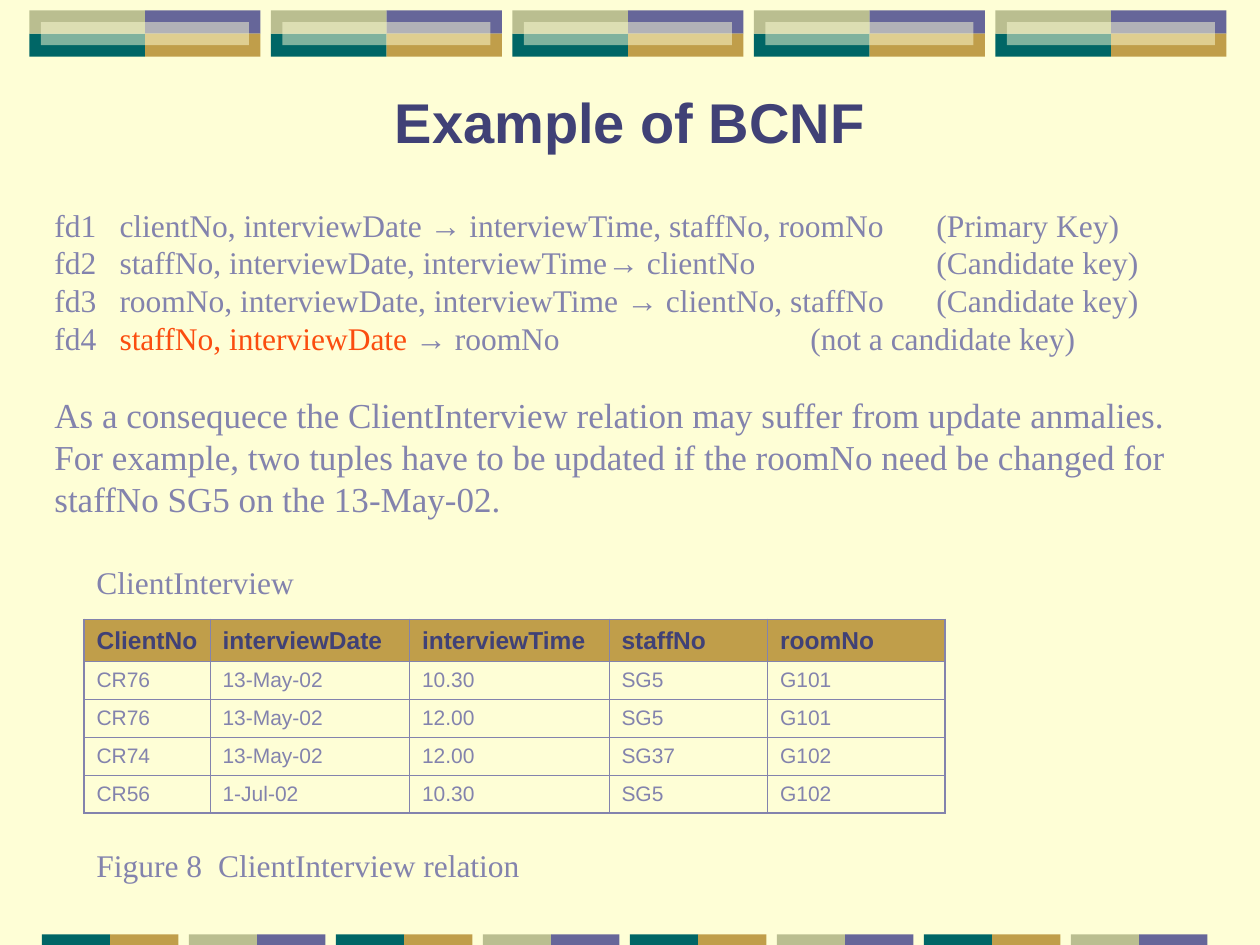
from lxml import etree
from pptx import Presentation
from pptx.dml.color import RGBColor
from pptx.enum.shapes import MSO_SHAPE
from pptx.enum.text import MSO_ANCHOR, PP_ALIGN
from pptx.oxml.ns import qn
from pptx.util import Inches, Pt

RECTANGLE = MSO_SHAPE.RECTANGLE
MIDDLE, TOP = MSO_ANCHOR.MIDDLE, MSO_ANCHOR.TOP
CENTER, LEFT = PP_ALIGN.CENTER, PP_ALIGN.LEFT
COLORS = {
    "cream": "FEFED6", "violet": "666699", "gold": "C09E4A", "teal": "006666",
    "sage": "BABE90", "heading": "404176", "body": "8383AD", "accent": "FB4D0F",
}
GRID_COLUMNS, GRID_ROWS = 120, 90
SLIDE_WIDTH, SLIDE_HEIGHT = Inches(10), Inches(7.5)
SERIF, SANS = "Times New Roman", "Arial"
ARROW = "→"
DEPENDENCIES = [
    ("fd1", "clientNo, interviewDate ", " interviewTime, staffNo, roomNo", "(Primary Key)", 84, "body"),
    ("fd2", "staffNo, interviewDate, interviewTime", " clientNo", "(Candidate key)", 84, "body"),
    ("fd3", "roomNo, interviewDate, interviewTime ", " clientNo, staffNo", "(Candidate key)", 84, "body"),
    ("fd4", "staffNo, interviewDate ", " roomNo", "(not a candidate key)", 72, "accent"),
]
CONSEQUENCES = [
    "As a consequece the ClientInterview relation may suffer from update anmalies.",
    "For example, two tuples have to be updated if the roomNo need be changed for "
    "staffNo SG5 on the 13-May-02.",
]
INTERVIEWS = [
    ("ClientNo", "interviewDate", "interviewTime", "staffNo", "roomNo"),
    ("CR76", "13-May-02", "10.30", "SG5", "G101"),
    ("CR76", "13-May-02", "12.00", "SG5", "G101"),
    ("CR74", "13-May-02", "12.00", "SG37", "G102"),
    ("CR56", "1-Jul-02", "10.30", "SG5", "G102"),
]
TABLE_COLUMNS = [12, 19, 19, 15.1, 16.9]
TABLE_ROW = 3
CELL_RIGHT_MARGIN = 0.6


def across(columns):
    return int(SLIDE_WIDTH * columns / GRID_COLUMNS)


def down(rows):
    return int(SLIDE_HEIGHT * rows / GRID_ROWS)


def place(left, top, width, height):
    return across(left), down(top), across(width), down(height)


def color(name):
    return RGBColor.from_string(COLORS[name])


def add_block(page, area, fill, opacity=None):
    block = page.shapes.add_shape(RECTANGLE, *place(*area))
    block.shadow.inherit = False
    block.line.fill.background()
    block.fill.solid()
    block.fill.fore_color.rgb = color(fill)
    if opacity:
        tint = block.fill._xPr.find(qn("a:solidFill"))[0]
        etree.SubElement(tint, qn("a:alpha"), val=str(opacity * 1000))


def add_top_band(page, count=5, pitch=23, width=11, height=2.2):
    for index in range(count):
        left, top = 2.8 + index * pitch, 1
        for column, row, fill in ((1, 0, "violet"), (1, 1, "gold"), (0, 1, "teal"), (0, 0, "sage")):
            add_block(page, (left + column * width, top + row * height, width, height), fill)
        add_block(page, (left + width / 10, top + height / 2, width * 1.8, height), "cream", 50)


def add_bottom_band(page, count=8, pitch=14, width=6.5):
    pairs = (("teal", "gold"), ("sage", "violet"))
    for index in range(count):
        for side, fill in enumerate(pairs[index % 2]):
            add_block(page, (4 + index * pitch + side * width, 89, width, 1), fill)


def style(para, size, name=SERIF, ink="body", bold=False, align=LEFT):
    para.alignment = align
    para.font.size = Pt(size)
    para.font.name = name
    para.font.bold = bold
    para.font.color.rgb = color(ink)


def set_tabs(para, stops):
    tabs = etree.SubElement(para._p.get_or_add_pPr(), qn("a:tabLst"))
    for stop in stops:
        etree.SubElement(tabs, qn("a:tab"), pos=str(across(stop)), algn="l")


def add_box(page, area, anchor=TOP, wrap=True):
    box = page.shapes.add_textbox(*place(*area))
    box.text_frame.word_wrap = wrap
    box.text_frame.vertical_anchor = anchor
    return box.text_frame


def add_label(page, area, text, size, stops=(), anchor=TOP, wrap=False, **look):
    para = add_box(page, area, anchor, wrap).paragraphs[0]
    para.add_run().text = text
    if stops:
        set_tabs(para, stops)
    style(para, size, **look)


def add_dependency(para, label, determinant, dependent, key, key_stop, ink):
    set_tabs(para, (6.2, key_stop))
    style(para, 18)
    para.add_run().text = f"{label}\t"
    span = para.add_run()
    span.text = determinant
    span.font.color.rgb = color(ink)
    span = para.add_run()
    span.text = ARROW
    span.font.name = SANS
    para.add_run().text = f"{dependent}\t{key}"


def add_explanation(page):
    frame = add_box(page, (4, 19, 111, 31.2))
    for index, dependency in enumerate(DEPENDENCIES):
        para = frame.add_paragraph() if index else frame.paragraphs[0]
        add_dependency(para, *dependency)
    for index, sentence in enumerate(CONSEQUENCES):
        para = frame.add_paragraph()
        para.add_run().text = sentence
        if index == 0:
            para.space_before = Pt(21)
        style(para, 20)


def add_borders(cell, outer_sides):
    properties = cell._tc.get_or_add_tcPr()
    for side in ("L", "R", "T", "B"):
        width = Pt(1.08 if side in outer_sides else 0.45)
        line = etree.SubElement(properties, qn(f"a:ln{side}"), w=str(width))
        fill = etree.SubElement(line, qn("a:solidFill"))
        etree.SubElement(fill, qn("a:srgbClr"), val=COLORS["body"])


def add_interview_table(page):
    row_count, column_count = len(INTERVIEWS), len(TABLE_COLUMNS)
    area = place(8, 59, sum(TABLE_COLUMNS), TABLE_ROW * row_count)
    table = page.shapes.add_table(row_count, column_count, *area).table
    table.first_row = table.horz_banding = False
    for column, width in zip(table.columns, TABLE_COLUMNS):
        column.width = across(width)
    for row, values in enumerate(INTERVIEWS):
        for column, value in enumerate(values):
            cell = table.cell(row, column)
            edges = {"L": column == 0, "R": column == column_count - 1,
                     "T": row == 0, "B": row == row_count - 1}
            add_borders(cell, [side for side, outer in edges.items() if outer])
            cell.vertical_anchor = MIDDLE
            cell.margin_right = across(CELL_RIGHT_MARGIN)
            para = cell.text_frame.paragraphs[0]
            para.add_run().text = value
            if row == 0:
                cell.fill.solid()
                cell.fill.fore_color.rgb = color("gold")
                style(para, 14, SANS, "heading", True)
            else:
                cell.fill.background()
                style(para, 12, SANS)


def main():
    deck = Presentation()
    deck.slide_width, deck.slide_height = SLIDE_WIDTH, SLIDE_HEIGHT
    page = deck.slides.add_slide(deck.slide_layouts[6])
    page.background.fill.solid()
    page.background.fill.fore_color.rgb = color("cream")
    add_top_band(page)
    add_bottom_band(page)
    add_label(page, (9, 8, 102, 7), "Example of BCNF", 32, anchor=MIDDLE, wrap=True,
              name=SANS, ink="heading", bold=True, align=CENTER)
    add_explanation(page)
    add_interview_table(page)
    add_label(page, (8, 80, 42.7, 4.8), "Figure 8\tClientInterview relation", 18, stops=(11.6,))
    add_label(page, (8, 53, 21.2, 4.8), "ClientInterview", 18, align=CENTER)
    deck.save("out.pptx")


if __name__ == "__main__":
    main()
